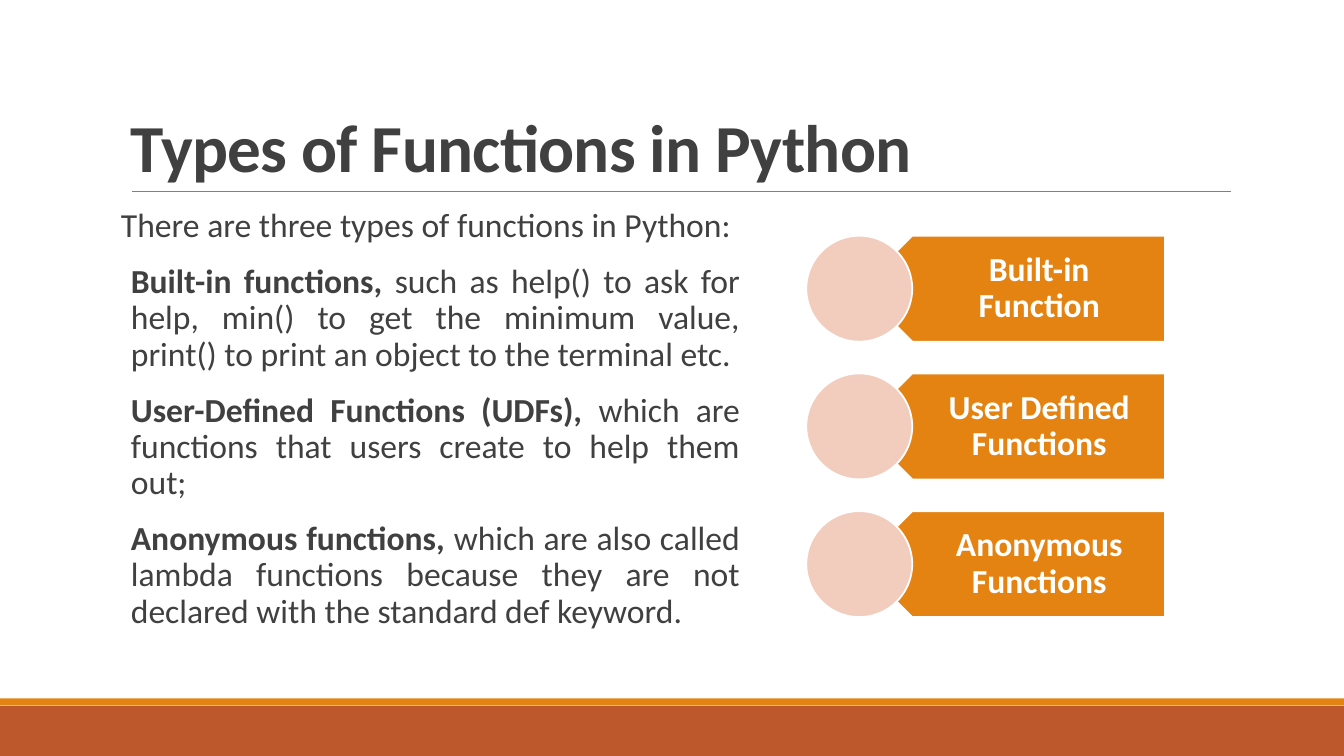
import pptx
import pptx.util
import pptx.dml.color
import pptx.enum.shapes
import pptx.enum.text
import pptx.oxml.ns
import lxml.etree

Cm = pptx.util.Cm
Pt = pptx.util.Pt
KIND = pptx.enum.shapes.MSO_SHAPE
ALIGN = pptx.enum.text.PP_ALIGN
ANCHOR = pptx.enum.text.MSO_ANCHOR
HUES = {"ink": "404040", "gold": "E48312", "rust": "BD582C",
        "rose": "F2CDBD", "gray": "808080", "white": "FFFFFF"}
TYPES = [
    ("Built-in functions, ", "such as help() to ask for help, min() to get the "
     "minimum value, print() to print an object to the terminal etc."),
    ("User-Defined Functions (UDFs), ",
     "which are functions that users create to help them out; "),
    ("Anonymous functions, ", "which are also called lambda functions because "
     "they are not declared with the standard def keyword."),
]
LABELS = ["Built-in Function", "User Defined Functions", "Anonymous Functions"]


def hue(name):
    """Return the named colour."""
    return pptx.dml.color.RGBColor.from_string(HUES[name])


def add_form(slide, kind, box, fill, edge=None):
    """Draw a filled preset shape in a box given in centimetres."""
    form = slide.shapes.add_shape(kind, *map(Cm, box))
    form.shadow.inherit = False
    form.fill.solid()
    form.fill.fore_color.rgb = hue(fill)
    if edge:
        form.line.color.rgb = hue(edge)
        form.line.width = Pt(1.25)
    else:
        form.line.fill.background()
    return form


def add_frame(slide, box, pads, anchor):
    """Add a wrapped text box and return its text frame."""
    frame = slide.shapes.add_textbox(*map(Cm, box)).text_frame
    frame.word_wrap = True
    frame.vertical_anchor = anchor
    (frame.margin_left, frame.margin_top,
     frame.margin_right, frame.margin_bottom) = map(Cm, pads)
    return frame


def add_run(para, text, color, size=24, bold=False):
    """Append one styled run to a paragraph."""
    run = para.add_run()
    run.text = text
    run.font.name = "Calibri"
    run.font.size = Pt(size)
    run.font.bold = bold
    run.font.color.rgb = hue(color)
    return run


def add_foot(slide, left, top, width, height):
    """Draw the gold stripe above the rust band."""
    strip = 0.18
    add_form(slide, KIND.RECTANGLE, (left, top + strip, width, height - strip), "rust")
    add_form(slide, KIND.RECTANGLE, (left, top, width, strip - 0.01), "gold")


def add_title(slide, left, top, width, height):
    """Set the heading on its thin rule."""
    base = top + height
    rule = slide.shapes.add_connector(
        pptx.enum.shapes.MSO_CONNECTOR.STRAIGHT,
        Cm(left + 0.28), Cm(base), Cm(left + width + 0.02), Cm(base))
    rule.line.color.rgb = hue("gray")
    rule.line.width = Pt(0.5)
    lxml.etree.SubElement(rule._element.spPr, pptx.oxml.ns.qn("a:effectLst"))
    frame = add_frame(slide, (left, top, width, height),
                      (0.25, 0.13, 0.25, 0.13), ANCHOR.BOTTOM)
    para = frame.paragraphs[0]
    para.line_spacing = 0.85
    run = add_run(para, "Types of Functions in Python", "ink", 48, True)
    run._r.get_or_add_rPr().set("spc", "-50")


def add_body(slide, left, top, width, height):
    """Write the lead line and the three indented definitions."""
    frame = add_frame(slide, (left, top, width, height),
                      (0, 0.13, 0, 0.13), ANCHOR.TOP)
    lead = frame.paragraphs[0]
    add_run(lead, "There are three types of functions in Python:", "ink")
    for term, text in TYPES:
        para = frame.add_paragraph()
        para._p.get_or_add_pPr().set("marL", str(Cm(0.25)))
        add_run(para, term, "ink", bold=True)
        add_run(para, text, "ink")
    for para in frame.paragraphs:
        para.alignment = ALIGN.JUSTIFY
        para.line_spacing = 0.9
        para.space_before = Pt(12)
        para.space_after = Pt(2)


def add_card(slide, label, left, top, width, height):
    """Draw one label plate with a disc over its pointed end."""
    half = height / 2
    plate = add_form(slide, KIND.PENTAGON,
                     (left + half, top, width - half, height), "gold", "white")
    plate.rotation = 180
    frame = add_frame(slide, (left + 2.01, top, width - 2.01, height),
                      (1.17, 0.25, 0.48, 0.25), ANCHOR.MIDDLE)
    para = frame.paragraphs[0]
    para.alignment = ALIGN.CENTER
    para.line_spacing = 0.9
    add_run(para, label, "white", bold=True)
    add_form(slide, KIND.OVAL, (left, top, height, height), "rose", "white")


def add_cards(slide, left, top, width, height):
    """Stack the label cards evenly in the box."""
    tall = 2.67
    step = (height - tall) / (len(LABELS) - 1)
    for i, label in enumerate(LABELS):
        add_card(slide, label, left, top + i * step, width, tall)


def main():
    """Build and save the slide."""
    deck = pptx.Presentation()
    deck.slide_width = Cm(33.87)
    deck.slide_height = Cm(19.05)
    slide = deck.slides.add_slide(deck.slide_layouts[6])
    add_foot(slide, 0, 17.6, 33.87, 1.45)
    add_title(slide, 3.05, 0.79, 27.94, 4.04)
    add_body(slide, 3.05, 5.13, 15.6, 11.18)
    add_cards(slide, 20.32, 5.94, 9.04, 9.61)
    deck.save("out.pptx")


if __name__ == "__main__":
    main()
